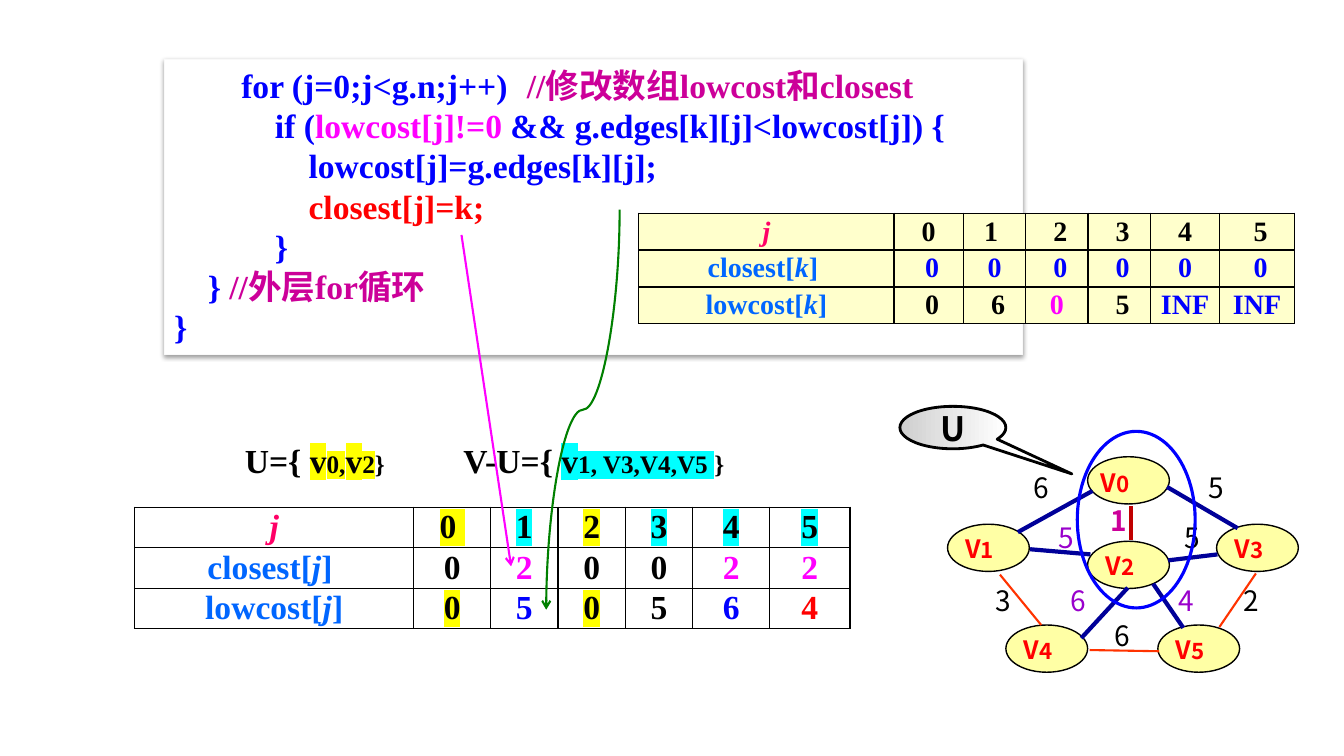
from lxml import etree
from pptx import Presentation
from pptx.dml.color import RGBColor
from pptx.enum.shapes import MSO_CONNECTOR, MSO_SHAPE
from pptx.enum.text import MSO_ANCHOR, PP_ALIGN
from pptx.oxml.ns import qn
from pptx.util import Cm, Pt

LEFT, MID = PP_ALIGN.LEFT, PP_ALIGN.CENTER
TOP, CENTER = MSO_ANCHOR.TOP, MSO_ANCHOR.MIDDLE
RECT, OVAL = MSO_SHAPE.RECTANGLE, MSO_SHAPE.OVAL
BUBBLE = MSO_SHAPE.OVAL_CALLOUT
LINE, CURVE = MSO_CONNECTOR.STRAIGHT, MSO_CONNECTOR.CURVE

BLACK = RGBColor(0x00, 0x00, 0x00)
WHITE = RGBColor(0xFF, 0xFF, 0xFF)
PALE = RGBColor(0xF9, 0xF9, 0xF9)
GREY = RGBColor(0xCF, 0xCF, 0xCF)
BLUE = RGBColor(0x00, 0x00, 0xFF)
NAVY = RGBColor(0x00, 0x00, 0x99)
SKY = RGBColor(0x00, 0x66, 0xFF)
PINK = RGBColor(0xFF, 0x00, 0xFF)
ROSE = RGBColor(0xFF, 0x00, 0x66)
PLUM = RGBColor(0xCC, 0x00, 0x99)
PURPLE = RGBColor(0x99, 0x00, 0xCC)
RED = RGBColor(0xFF, 0x00, 0x00)
ORANGE = RGBColor(0xFF, 0x33, 0x00)
DARK = RGBColor(0xC0, 0x00, 0x00)
GREEN = RGBColor(0x00, 0x80, 0x00)
CREAM = RGBColor(0xFF, 0xFF, 0xCC)
LEMON = RGBColor(0xFF, 0xFF, 0xA5)
YELLOW = RGBColor(0xFF, 0xFF, 0x00)
CYAN = RGBColor(0x00, 0xFF, 0xFF)

SERIF, SANS = "Times New Roman", "Noto Sans CJK SC"


def add_run(para, text, color=BLACK, size=24, mark=None, face=SERIF, bold=True, slant=False):
    run = para.add_run()
    run.text = text
    font = run.font
    font.size, font.bold, font.italic, font.name = Pt(size), bold, slant, face
    font.color.rgb = color
    props = run._r.get_or_add_rPr()
    etree.SubElement(props, qn("a:ea")).set("typeface", SANS)
    if mark is not None:
        light = etree.Element(qn("a:highlight"))
        etree.SubElement(light, qn("a:srgbClr")).set("val", str(mark))
        props.find(qn("a:solidFill")).addnext(light)


def add_text(slide, x, y, w, h, runs, align=LEFT, **style):
    box = slide.shapes.add_textbox(Cm(x), Cm(y), Cm(w), Cm(h))
    box.text_frame.word_wrap = True
    para = box.text_frame.paragraphs[0]
    para.alignment = align
    for run in runs:
        add_run(para, *run, **style)


def add_form(slide, kind, x, y, w, h, line, width, fill=None):
    form = slide.shapes.add_shape(kind, Cm(x), Cm(y), Cm(w), Cm(h))
    form.shadow.inherit = False
    form.line.color.rgb, form.line.width = line, Pt(width)
    if fill is None:
        form.fill.background()
    else:
        form.fill.solid()
        form.fill.fore_color.rgb = fill
    return form


def add_link(slide, ends, color, width, kind=LINE, arrow=False):
    link = slide.shapes.add_connector(kind, *map(Cm, ends))
    link.line.color.rgb, link.line.width = color, Pt(width)
    props = link._element.spPr
    if arrow:
        etree.SubElement(props.find(qn("a:ln")), qn("a:tailEnd")).set("type", "arrow")
    etree.SubElement(props, qn("a:effectLst"))
    return link


def add_edges(cell):
    props = cell._tc.get_or_add_tcPr()
    for spot, side in enumerate(("a:lnL", "a:lnR", "a:lnT", "a:lnB")):
        edge = etree.Element(qn(side), w=str(Pt(1)))
        ink = etree.SubElement(edge, qn("a:solidFill"))
        etree.SubElement(ink, qn("a:srgbClr")).set("val", str(BLACK))
        props.insert(spot, edge)


def add_grid(slide, x, y, cols, height, index, rows, size, fill=None):
    heads = [[(index, ROSE, True)]]
    heads += [[(name + "[", SKY, False), (index, SKY, True), (end, SKY, False)]
              for name, end in (("closest", "] "), ("lowcost", "]"))]
    heads[0] = [("j", ROSE, True)]
    frame = slide.shapes.add_table(3, len(cols), Cm(x), Cm(y), Cm(sum(cols)), Cm(3 * height))
    table = frame.table
    table.first_row = table.horz_banding = False
    for col, width in zip(table.columns, cols):
        col.width = Cm(width)
    for r, (head, row) in enumerate(zip(heads, rows)):
        table.rows[r].height = Cm(height)
        for c in range(len(cols)):
            cell = table.cell(r, c)
            cell.vertical_anchor = CENTER
            cell.margin_left = cell.margin_right = Cm(0.18)
            cell.margin_top = cell.margin_bottom = 0
            if fill is None:
                cell.fill.background()
            else:
                cell.fill.solid()
                cell.fill.fore_color.rgb = fill
            add_edges(cell)
            para = cell.text_frame.paragraphs[0]
            para.alignment = MID
            if c == 0:
                for text, color, slant in head:
                    add_run(para, text, color, size, slant=slant)
            else:
                text, color, *mark = row[c - 1]
                add_run(para, text, color, size, *mark)


def add_code(slide):
    lines = [
        (2, [("for (j=0;j<g.n;j++)\t", BLUE), ("//修改数组lowcost和closest", PLUM)]),
        (3, [("if (", BLUE), ("lowcost[j]!=0", PINK), (" && g.edges[k][j]<lowcost[j]) {", BLUE)]),
        (4, [("lowcost[j]=g.edges[k][j];", BLUE)]),
        (4, [("closest[j]=k;", RED)]),
        (3, [("}", BLUE)]),
        (1, [("} ", BLUE), ("//外层for循环", PLUM)]),
        (0, [("}", BLUE)]),
    ]
    box = add_form(slide, RECT, 4.14, 1.5, 21.64, 7.44, PALE, 0.75, WHITE)
    glow = etree.SubElement(box._element.spPr.find(qn("a:effectLst")), qn("a:outerShdw"),
                            blurRad=str(Pt(3.1)), dist=str(Pt(1.6)), dir="5400000")
    tint = etree.SubElement(glow, qn("a:srgbClr"), val=str(BLACK))
    etree.SubElement(tint, qn("a:alpha")).set("val", "38000")
    frame = box.text_frame
    frame.word_wrap, frame.vertical_anchor = True, TOP
    for i, (depth, runs) in enumerate(lines):
        para = frame.add_paragraph() if i else frame.paragraphs[0]
        para.alignment, para.line_spacing = LEFT, Pt(28.8)
        props = para._p.get_or_add_pPr()
        props.set("marL", "0")
        props.set("indent", str(depth * Pt(24)))
        for run in runs:
            add_run(para, *run)


def add_graph(slide):
    nodes = [("2", 27.41, 13.64, 0.2, 0.1), ("0", 27.41, 11.51, 0.08, 0.13),
             ("3", 30.66, 13.21, 0.2, 0.1), ("5", 29.18, 15.75, 0.2, 0.1),
             ("4", 25.35, 15.75, 0.2, 0.1), ("1", 23.88, 13.21, 0.2, 0.1)]
    for name, x, y, dx, dy in nodes:
        add_form(slide, OVAL, x, y, 2.06, 1.19, BLACK, 1, LEMON)
        add_text(slide, x + dx, y + dy, 1.83, 1.7, [("V", RED, 18), (name, RED, 16)], face=SANS)
    costs = [("3", 24.69, 14.58, BLACK), ("6", 25.65, 11.73, BLACK), ("5", 30.05, 11.73, BLACK),
             ("2", 30.94, 14.58, BLACK), ("1", 27.59, 12.57, PLUM), ("6", 26.59, 14.58, PURPLE),
             ("5", 29.46, 13, BLACK), ("5", 26.28, 13, PURPLE), ("4", 29.31, 14.58, PURPLE),
             ("6", 27.69, 15.47, BLACK)]
    for cost, x, y, color in costs:
        add_text(slide, x, y, 1.19, 1.09, [(cost, color, 20)], MID, face=SANS, bold=color == PLUM)
    links = [
        (ORANGE, 1.5, [(25.2, 14.48, 26.24, 15.75), (31.65, 14.45, 30.73, 15.8),
                       (27.46, 16.38, 29.21, 16.41)]),
        (DARK, 3, [(28.5, 12.75, 28.5, 13.61)]),
        (NAVY, 3, [(27.53, 12.37, 25.65, 13.41), (29.41, 12.27, 31.19, 13.31),
                   (27.48, 13.97, 25.96, 13.84), (30.68, 13.97, 29.44, 14.12),
                   (28.42, 14.81, 27.25, 16.08), (29.06, 14.71, 29.82, 15.82)]),
    ]
    for color, width, group in links:
        for ends in group:
            add_link(slide, ends, color, width)
    add_form(slide, OVAL, 27.15, 10.87, 2.97, 4.45, BLUE, 2.25)
    note = add_form(slide, BUBBLE, 22.68, 10.24, 2.67, 1.07, BLACK, 2)
    note.adjustments[0], note.adjustments[1] = 1.123, 1.092
    note.fill.gradient()
    note.fill.gradient_angle = 0
    for stop, color in zip(note.fill.gradient_stops, (GREY, WHITE)):
        stop.color.rgb = color
    note.text_frame.word_wrap = False
    para = note.text_frame.paragraphs[0]
    para.alignment = MID
    add_run(para, "U", face=SANS)


def main():
    deck = Presentation()
    deck.slide_width, deck.slide_height = Cm(33.87), Cm(19.05)
    slide = deck.slides.add_slide(deck.slide_layouts[6])
    add_code(slide)
    add_text(slide, 5.92, 10.95, 4.88, 1.27, [
        ("U={ ",), ("v", BLACK, 24, YELLOW), ("0,", BLACK, 18, YELLOW),
        ("v", BLACK, 24, YELLOW), ("2", BLACK, 18, YELLOW), ("}", BLACK, 18)])
    add_text(slide, 11.43, 10.95, 9.53, 1.27, [
        ("V-U={ ",), ("v", BLACK, 24, CYAN), ("1, V3,V4,V5 ", BLACK, 18, CYAN), ("}", BLACK, 18)])
    add_grid(slide, 3.39, 12.78, (7.04, 1.93, 1.7, 1.7, 1.7, 1.93, 2.03), 1.02, "j", [
        [("0 ", BLACK, YELLOW), ("1", BLACK, CYAN), ("2", BLACK, YELLOW),
         ("3", BLACK, CYAN), ("4", BLACK, CYAN), ("5", BLACK, CYAN)],
        [("0", BLACK), ("2", PINK), ("0", BLACK), ("0", BLACK), ("2", PINK), ("2", PINK)],
        [("0", BLACK, YELLOW), ("5", BLUE), ("0", BLACK, YELLOW),
         ("5", BLACK), ("6", BLUE), ("4", RED)]], 24)
    curve = add_link(slide, (9.65, 9.4, 19.73, 11.25), GREEN, 1.5, CURVE, True)
    curve._element.spPr.find(qn("a:xfrm")).set("rot", "5400000")
    add_link(slide, (11.63, 5.92, 12.88, 14.27), PINK, 1.5, arrow=True)
    add_graph(slide)
    add_grid(slide, 16.1, 5.37, (6.43, 1.75, 1.57, 1.57, 1.57, 1.75, 1.88), 0.93, "k", [
        [(text, BLACK) for text in (" 0 ", "1 ", " 2", " 3", "4", " 5")],
        [(text, BLUE) for text in (" 0", "0", " 0", " 0", "0", " 0")],
        [(" 0", BLACK), (" 6", BLACK), ("0", PINK),
         (" 5", BLACK), ("INF", BLUE), ("INF", BLUE)]], 20, CREAM)
    deck.save("out.pptx")


if __name__ == "__main__":
    main()
